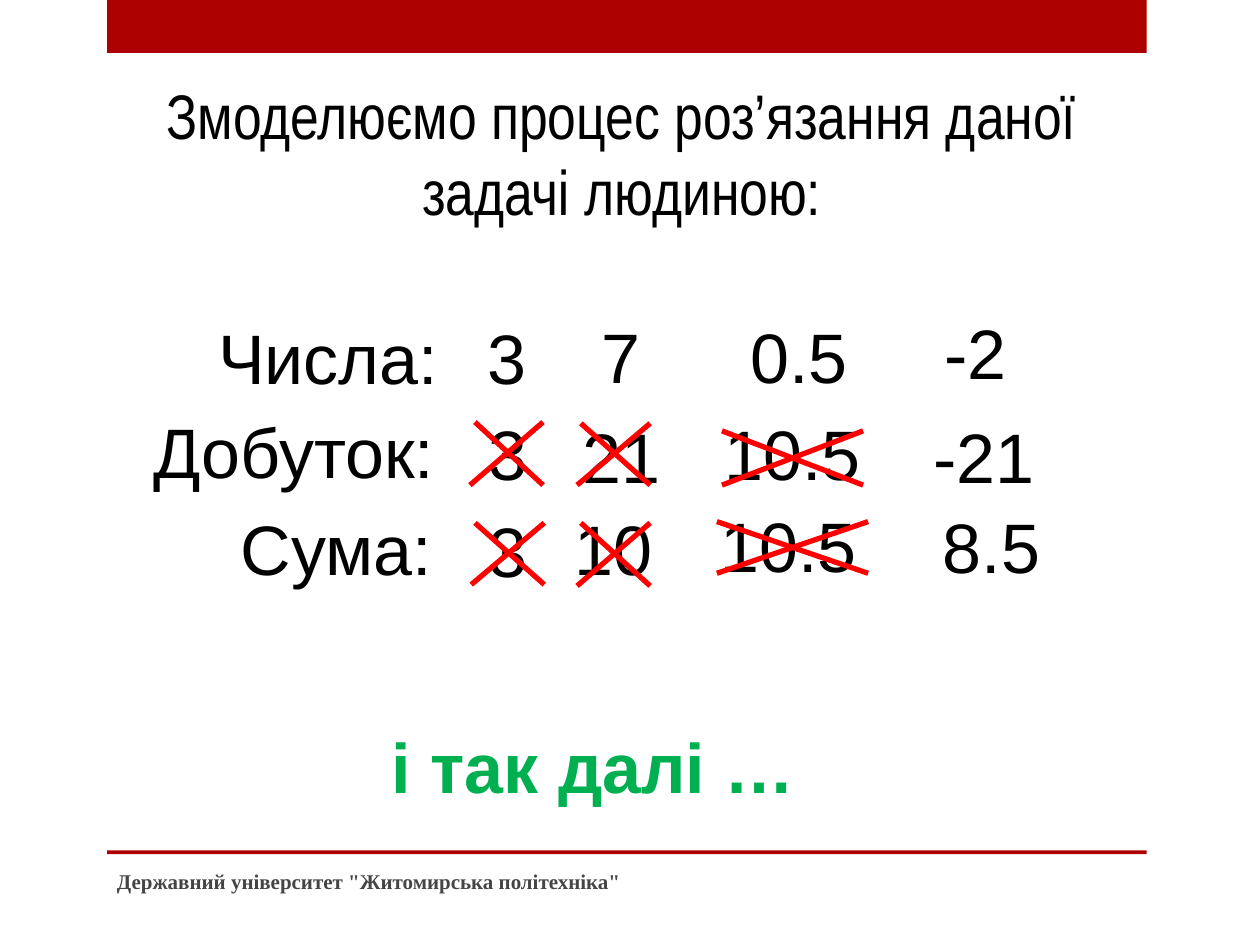
from collections import namedtuple

from lxml import etree
from pptx import Presentation, util as u
from pptx.dml.color import RGBColor
from pptx.enum import shapes, text
from pptx.oxml import ns

BRAND_RED = RGBColor(0xAD, 0x01, 0x01)
CROSS_RED = RGBColor(0xFF, 0x00, 0x00)
GREEN = RGBColor(0x00, 0xB0, 0x50)
GREY = RGBColor(0x45, 0x45, 0x45)
BLACK = RGBColor(0x00, 0x00, 0x00)

COLUMNS, ROWS = 100, 75
UNIT = u.Inches(10) // COLUMNS
ROW_HEIGHT = 7.7

Box = namedtuple("Box", "left top width height")

TITLE = {"size": u.Pt(36), "name": "Arial Narrow", "bold": False}
BODY = {"size": u.Pt(40), "name": "Arial", "bold": False}
CLOSING = {**BODY, "bold": True}
FOOTER = {"size": u.Pt(12), "name": "Times New Roman", "bold": True}
CELL_FRAME = {"margin_left": 0, "margin_right": 0}

STEPS = [
    [("Числа:", 11.9, 24.5, 28.3), ("3", 36, 24.5, 8.4), ("7", 45.1, 24.4, 8.4),
     ("0.5", 58.3, 24.4, 10.2), ("-2", 72.3, 24.1, 10.2)],
    [("Добуток:", 10.7, 31.9, 25.3), ("3", 36.1, 32.1, 8.4), ("21", 45.1, 32.3, 8.4),
     ("10.5", 56.5, 32.1, 12.8), ("-21", 71.7, 32.3, 12.8)],
    [("Сума:", 17.3, 39.6, 18.8), ("3", 36.1, 39.8, 8.4), ("10", 44.5, 39.6, 8.4),
     ("10.5", 55.9, 39.4, 13.4), ("8.5", 72, 39.5, 13.4)],
]
CROSSES = [
    (Box(37.3, 33.5, 5.8, 5), 0.4),
    (Box(37.4, 41.5, 5.8, 4.9), 0.3),
    (Box(45.8, 33.6, 5.8, 4.9), 0.3),
    (Box(45.8, 41.5, 5.8, 5), 0.3),
    (Box(57.3, 34.2, 11.2, 4.3), 0),
    (Box(56.9, 41.4, 12, 4.1), 0),
]


def units(*lengths):
    return [round(length * UNIT) for length in lengths]


def apply(target, values):
    for key, value in values.items():
        setattr(target, key, value)


def add_text(page, box, words, font, color, align=text.PP_ALIGN.CENTER, frame=None):
    frame_format = {"word_wrap": True, **(frame or {})}
    words_frame = page.shapes.add_textbox(*units(*box)).text_frame
    apply(words_frame, frame_format)
    para = words_frame.paragraphs[0]
    para.alignment = align
    span = para.add_run()
    span.text = words
    apply(span.font, font)
    span.font.color.rgb = color


def add_bar(page, box):
    bar = page.shapes.add_shape(shapes.MSO_SHAPE.RECTANGLE, *units(*box))
    bar.shadow.inherit = False
    bar.fill.solid()
    bar.fill.fore_color.rgb = BRAND_RED
    bar.line.fill.background()


def add_stroke(page, start, end):
    stroke = page.shapes.add_connector(
        shapes.MSO_CONNECTOR.STRAIGHT, *units(*start, *end))
    stroke.line.color.rgb = CROSS_RED
    stroke.line.width = u.Pt(3)
    etree.SubElement(stroke.element.spPr, ns.qn("a:effectLst"))


def add_cross(page, box, inset):
    right, bottom = box.left + box.width, box.top + box.height
    add_stroke(page, (box.left + inset, box.top), (right, bottom))
    add_stroke(page, (box.left, bottom), (right, box.top))


def add_frame(page, box):
    add_bar(page, Box(box.left, box.top, box.width, 4.2))
    add_bar(page, Box(box.left, box.top + box.height - 0.3, box.width, 0.3))


def add_steps(page):
    for step in STEPS:
        for words, left, top, width in step:
            add_text(page, Box(left, top, width, ROW_HEIGHT), words, BODY, BLACK,
                     frame=CELL_FRAME)
    for box, inset in CROSSES:
        add_cross(page, box, inset)


def add_footer(page, box):
    add_text(page, box, 'Державний університет "Житомирська політехніка"',
             FOOTER, GREY, text.PP_ALIGN.LEFT,
             {"vertical_anchor": text.MSO_ANCHOR.MIDDLE})


def main():
    deck = Presentation()
    deck.slide_width, deck.slide_height = COLUMNS * UNIT, ROWS * UNIT
    page = deck.slides.add_slide(deck.slide_layouts[6])
    add_frame(page, Box(8.5, 0, 82.5, 67.8))
    add_text(page, Box(7.9, 5.6, 82.9, 13.1),
             "Змоделюємо процес роз’язання даної задачі людиною:", TITLE, BLACK)
    add_steps(page)
    add_text(page, Box(16.8, 56.9, 60.6, ROW_HEIGHT), "і так далі …", CLOSING, GREEN)
    add_footer(page, Box(8.3, 67.9, 53.3, 4))
    deck.save("out.pptx")


if __name__ == "__main__":
    main()
